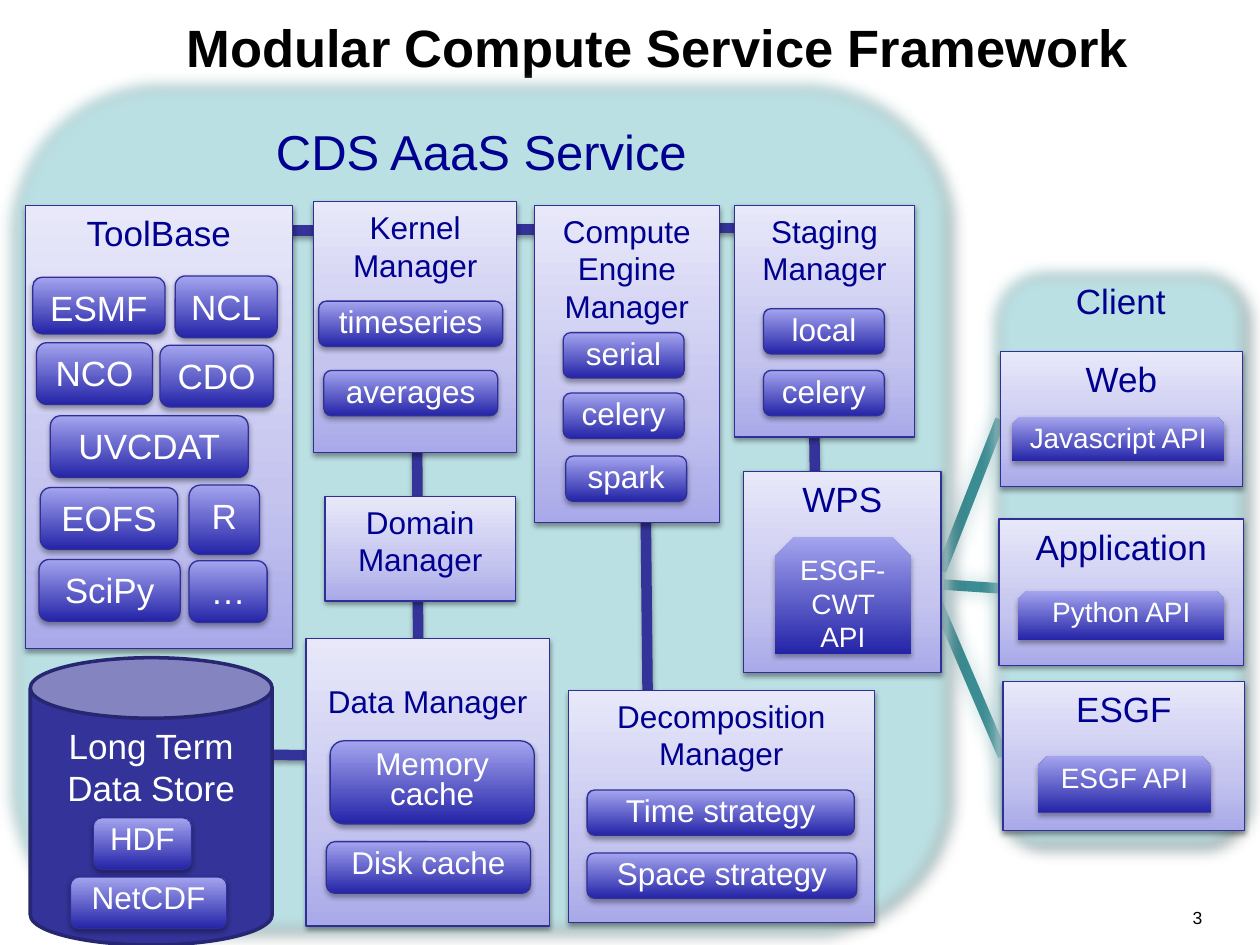
from copy import deepcopy
from dataclasses import dataclass

from lxml import etree
from pptx import Presentation
from pptx.dml.color import RGBColor
from pptx.enum.shapes import MSO_CONNECTOR, MSO_SHAPE
from pptx.enum.text import MSO_ANCHOR, PP_ALIGN
from pptx.oxml.ns import qn
from pptx.util import Inches, Pt

RECT, ROUND = MSO_SHAPE.RECTANGLE, MSO_SHAPE.ROUNDED_RECTANGLE
SNIP, CAN = MSO_SHAPE.SNIP_2_SAME_RECTANGLE, MSO_SHAPE.CAN
STRAIGHT = MSO_CONNECTOR.STRAIGHT
TOP, MIDDLE = MSO_ANCHOR.TOP, MSO_ANCHOR.MIDDLE
CENTER, RIGHT = PP_ALIGN.CENTER, PP_ALIGN.RIGHT


@dataclass(frozen=True)
class Theme:
    font: str = "Arial"
    black: str = "000000"
    white: str = "FFFFFF"
    navy: str = "000090"
    region: str = "BBE0E3"
    teal: str = "3C8C93"
    link: str = "333399"
    edge: str = "2F2F98"
    can_edge: str = "262671"
    panel: tuple = ((0, "A9A9E9"), (0.35, "C4C4EF"), (1, "E8E8FA"))
    pill: tuple = ((0, "2424A8"), (1, "A4A4EF"))
    region_shadow: tuple = ("000000", 43, 4, 3, 45)
    panel_shadow: tuple = ("000000", 38, 3.1, 1.6, 90)
    pill_shadow: tuple = ("000000", 35, 3.1, 1.8, 90)
    teal_shadow: tuple = ("4597A0", 35, 10.8, 0, 90)
    title: int = 30
    heading: int = 28
    large: int = 20
    body: int = 18
    small: int = 16
    number: int = 10


T = Theme()
SLIDE_W, SLIDE_H = 10, 7.5
SOFT_EDGE = 9
TITLE = ("Modular Compute Service Framework", (0.77, -0.04, 8.9, 0.9))
SERVICE = ("CDS AaaS Service", (0, 0.58, 7.64, 6.92), T.heading)
CLIENT = ("Client", (7.79, 2.06, 2.21, 4.76), T.large)
STORE = ("Long Term\vData Store", (0.24, 5.22, 1.92, 2.28))
NUMBER = ("3", (9.24, 7.15, 0.4, 0.26))

CLIENT_LINKS = [
    (7.96, 6, 7.42, 4.74), (8.24, 4.69, 7.49, 4.64), (7.94, 3.33, 7.47, 4.53),
]
SERVICE_LINKS = [
    (5.14, 5.51, 5.12, 3.57), (2.89, 6, 2.11, 5.99), (3.32, 5.33, 3.31, 3.39),
    (2.51, 1.83, 2.28, 1.83), (6.47, 3.9, 6.46, 3.21),
    (5.86, 1.81, 5.62, 1.81), (4.29, 1.82, 4.06, 1.82),
]
SERVICE_PANELS = [
    ("WPS", (5.9, 3.74, 1.57, 1.6), T.large),
    ("ToolBase", (0.2, 1.63, 2.12, 3.52), T.large),
    ("Staging Manager", (5.83, 1.63, 1.43, 1.84), T.body),
    ("Compute Engine Manager", (4.24, 1.63, 1.47, 2.52), T.body),
    ("Kernel Manager", (2.49, 1.6, 1.61, 1.99), T.body),
    ("Data Manager", (2.43, 5.07, 1.93, 2.28), T.body),
    ("Domain Manager", (2.58, 3.94, 1.51, 0.83), T.body),
    ("Decomposition\nManager", (4.51, 5.48, 2.43, 1.84), T.body),
]
CLIENT_PANELS = [
    ("Web", (7.94, 2.79, 1.92, 1.07), T.large),
    ("Application", (7.93, 4.12, 1.94, 1.16), T.large),
    ("ESGF", (7.96, 5.41, 1.92, 1.18), T.large),
]
TOP_MARGIN = {"Data Manager": 0.34}
TOOL_H = 0.49
TOOLS = [
    ("UVCDAT", 0.4, 3.3, 1.57, TOOL_H), ("NCO", 0.29, 2.72, 0.92, TOOL_H),
    ("ESMF", 0.26, 2.2, 1.05, 0.45), ("NCL", 1.39, 2.19, 0.81, TOOL_H),
    ("R", 1.5, 3.85, 0.56, 0.55), ("SciPy", 0.31, 4.44, 1.12, TOOL_H),
    ("EOFS", 0.32, 3.87, 1.09, TOOL_H), ("…", 1.5, 4.45, 0.62, TOOL_H),
    ("CDO", 1.27, 2.74, 0.9, TOOL_H),
]
MODULE_H, CACHE_H = 0.36, 0.41
MODULES = [
    ("local", 6.06, 2.45, 0.96, MODULE_H), ("celery", 6.06, 2.94, 0.96, MODULE_H),
    ("serial", 4.47, 2.64, 0.96, MODULE_H), ("celery", 4.47, 3.12, 0.96, MODULE_H),
    ("spark", 4.49, 3.62, 0.96, MODULE_H),
    ("timeseries", 2.53, 2.39, 1.46, MODULE_H),
    ("averages", 2.57, 2.94, 1.38, MODULE_H),
    ("Memory cache", 2.62, 5.88, 1.62, 0.66),
    ("Disk cache", 2.59, 6.68, 1.62, CACHE_H),
    ("NetCDF", 0.56, 6.96, 1.24, CACHE_H), ("HDF", 0.74, 6.49, 0.78, CACHE_H),
    ("Time strategy", 4.66, 6.27, 2.12, MODULE_H),
    ("Space strategy", 4.66, 6.77, 2.14, MODULE_H),
]
SERVICE_API = ("ESGF-CWT API", 6.15, 4.26, 1.08, 0.93)
CLIENT_APIS = [
    ("Javascript API", 8.03, 3.31, 1.69, 0.35),
    ("Python API", 8.08, 4.69, 1.64, 0.39),
    ("ESGF API", 8.24, 6, 1.37, 0.45),
]


def rgb(value):
    return RGBColor.from_string(value)


def set_text(sp, text, size, color, spacing=None, align=CENTER, anchor=TOP, bold=False):
    tf = sp.text_frame
    tf.text, tf.word_wrap, tf.vertical_anchor = text, True, anchor
    for p in tf.paragraphs:
        p.alignment, p.line_spacing = align, spacing
        p.font.name, p.font.size, p.font.bold = T.font, Pt(size), bold
        p.font.color.rgb = rgb(color)


def add_shadow(effects, shadow):
    color, alpha, blur, dist, angle = shadow
    outer = etree.SubElement(
        effects, qn("a:outerShdw"), blurRad=str(Pt(blur)), dist=str(Pt(dist)),
        dir=str(angle * 60000), rotWithShape="0")
    clr = etree.SubElement(outer, qn("a:srgbClr"), val=color)
    etree.SubElement(clr, qn("a:alpha"), val=str(alpha * 1000))


def set_fill(sp, fill):
    if isinstance(fill, str):
        sp.fill.solid()
        sp.fill.fore_color.rgb = rgb(fill)
        return
    sp.fill.gradient()
    sp.fill.gradient_angle = 90
    stops = sp._element.spPr.find(qn("a:gradFill")).find(qn("a:gsLst"))
    for _ in fill[2:]:
        stops.append(deepcopy(stops[0]))
    for stop, (position, color) in zip(sp.fill.gradient_stops, fill):
        stop.position, stop.color.rgb = position, rgb(color)


def add_box(s, kind, box, fill, line=None, width=0.75, shadow=None, soft=False):
    sp = s.shapes.add_shape(kind, *map(Inches, box))
    set_fill(sp, fill)
    if line:
        sp.line.color.rgb, sp.line.width = rgb(line), Pt(width)
    else:
        sp.line.fill.background()
    sp.shadow.inherit = False
    effects = sp._element.spPr.find(qn("a:effectLst"))
    if shadow:
        add_shadow(effects, shadow)
    if soft:
        etree.SubElement(effects, qn("a:softEdge"), rad=str(Pt(SOFT_EDGE)))
    return sp


def add_region(s, text, box, size):
    sp = add_box(s, ROUND, box, T.region, T.black, shadow=T.region_shadow, soft=True)
    set_text(sp, text, size, T.navy)


def add_panels(s, panels):
    for text, box, size in panels:
        sp = add_box(s, RECT, box, T.panel, T.edge, shadow=T.panel_shadow)
        set_text(sp, text, size, T.navy)
        sp.text_frame.margin_top = Inches(TOP_MARGIN.get(text, 0.05))


def add_pills(s, pills, size, kind=ROUND, spacing=None):
    for text, *box in pills:
        line = T.edge if kind == ROUND else None
        sp = add_box(s, kind, box, T.pill, line, shadow=T.pill_shadow)
        set_text(sp, text, size, T.white, spacing)
        sp.text_frame.margin_left = sp.text_frame.margin_right = Inches(0.08)


def add_links(s, links, color, shadow):
    for ends in links:
        link = s.shapes.add_connector(STRAIGHT, *map(Inches, ends))
        link.line.color.rgb, link.line.width = rgb(color), Pt(6)
        add_shadow(etree.SubElement(link._element.spPr, qn("a:effectLst")), shadow)


def main():
    """Build the compute service framework slide."""
    prs = Presentation()
    prs.slide_width, prs.slide_height = Inches(SLIDE_W), Inches(SLIDE_H)
    s = prs.slides.add_slide(prs.slide_layouts[5])
    title = s.shapes.title
    title.left, title.top, title.width, title.height = map(Inches, TITLE[1])
    set_text(title, TITLE[0], T.title, T.black, 0.85, anchor=MIDDLE, bold=True)
    add_links(s, CLIENT_LINKS, T.teal, T.teal_shadow)
    add_region(s, *SERVICE)
    add_links(s, SERVICE_LINKS, T.link, T.pill_shadow)
    add_panels(s, SERVICE_PANELS)
    store = add_box(s, CAN, STORE[1], T.link, T.can_edge, 2)
    set_text(store, STORE[0], T.large, T.white)
    add_pills(s, [SERVICE_API], T.small, SNIP)
    add_pills(s, TOOLS, T.large)
    add_pills(s, MODULES, T.body, spacing=0.8)
    add_region(s, *CLIENT)
    add_panels(s, CLIENT_PANELS)
    add_pills(s, CLIENT_APIS, T.small, SNIP, 0.8)
    number = s.shapes.add_textbox(*map(Inches, NUMBER[1]))
    set_text(number, NUMBER[0], T.number, T.black, align=RIGHT)
    prs.save("out.pptx")


if __name__ == "__main__":
    main()
